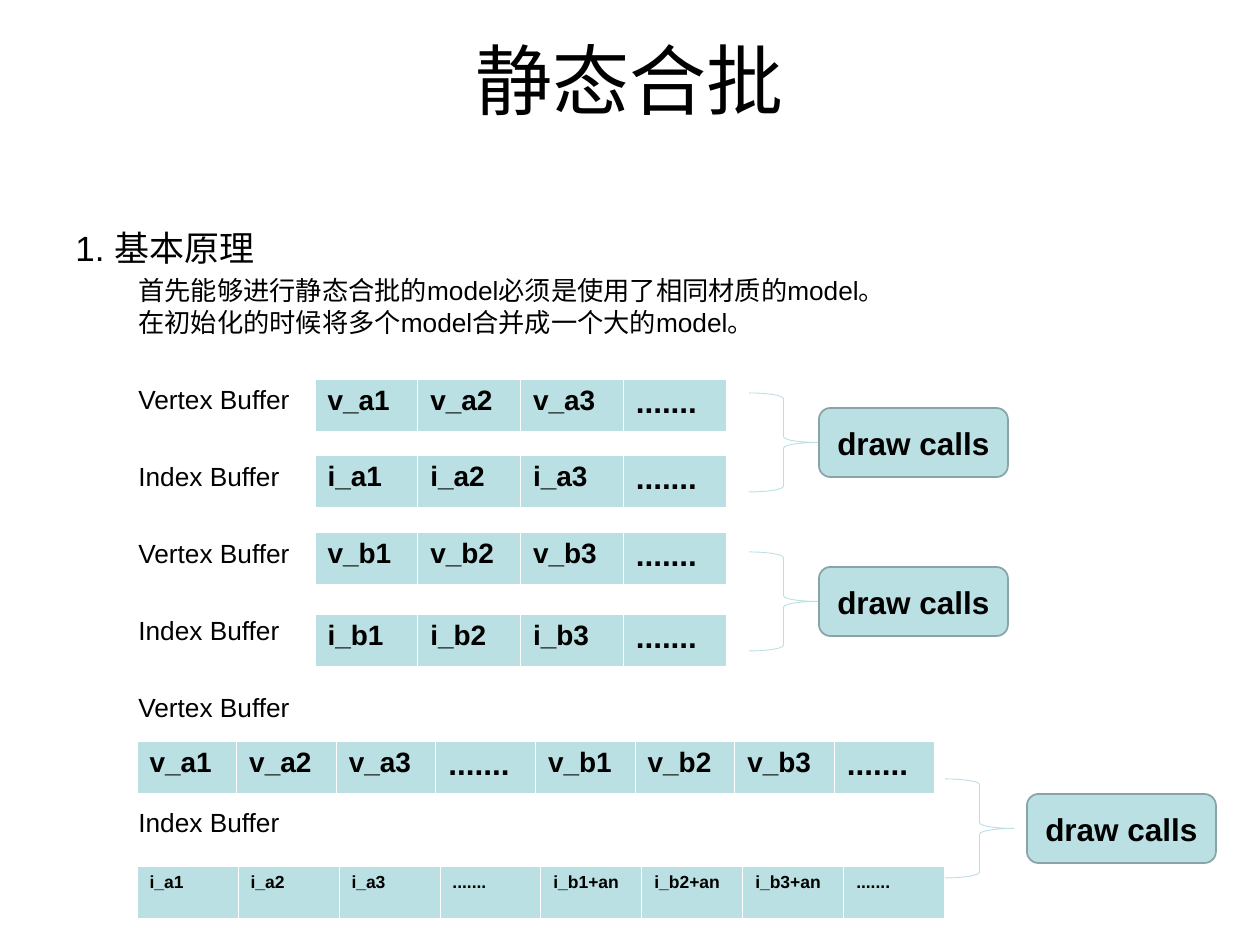
from lxml import etree
from pptx import Presentation
from pptx.dml.color import RGBColor
from pptx.enum.shapes import MSO_SHAPE
from pptx.enum.text import MSO_ANCHOR, PP_ALIGN
from pptx.oxml.ns import qn
from pptx.util import Emu, Pt

ROUNDED, BRACE = MSO_SHAPE.ROUNDED_RECTANGLE, MSO_SHAPE.RIGHT_BRACE
TOP, MIDDLE = MSO_ANCHOR.TOP, MSO_ANCHOR.MIDDLE
CENTER, LEFT = PP_ALIGN.CENTER, PP_ALIGN.LEFT
PX = 914400 // 126
FONT = "Arial"
COLORS = {"text": "000000", "fill": "BBE0E3", "edge": "89A4A7", "grid": "FFFFFF"}

# Content
TITLE = "静态合批"
DOTS = "......."
# lines, size, indent px, space before pt
BODY = [
    (["1. 基本原理"], 20, 0, 0),
    (["首先能够进行静态合批的model必须是使用了相同材质的model。",
      "在初始化的时候将多个model合并成一个大的model。"], 15, 63, 3.7),
    (["Vertex Buffer"], 15, 63, 26),
    (["Index Buffer"], 15, 63, 26),
    (["Vertex Buffer"], 15, 63, 26),
    (["Index Buffer"], 15, 63, 26),
    (["Vertex Buffer"], 15, 63, 26),
    (["Index Buffer"], 15, 63, 47.8),
]
V_A, I_A, V_B, I_B = ([f"{kind}{n}" for n in (1, 2, 3)] + [DOTS]
                      for kind in ("v_a", "i_a", "v_b", "i_b"))
I_B_OFFSET = [c if c == DOTS else c + "+an" for c in I_B]
# cells, x, y, width, text size, dots size
BUFFERS = [
    (V_A, 315, 379, 411, 16, 18),
    (I_A, 315, 455, 411, 16, 18),
    (V_B, 315, 532, 411, 16, 18),
    (I_B, 315, 614, 411, 16, 18),
    (V_A + V_B, 137, 741, 797, 16, 18),
    (I_A + I_B_OFFSET, 137, 866, 808, 10, 10),
]
ROW_H = 53
# brace x, brace y, box x
DRAW_CALLS = [(749, 393, 819), (749, 552, 819), (945, 779, 1027)]
BRACE_W, BRACE_H, BOX_W, BOX_H = 69, 99, 189, 69


def px(*values):
    return [Emu(round(v * PX)) for v in values]


def rgb(name):
    return RGBColor.from_string(COLORS[name])


def add_run(p, text, size, bold=False):
    r = p.add_run()
    r.text = text
    r.font.name, r.font.size, r.font.bold = FONT, Pt(size), bold
    r.font.color.rgb = rgb("text")


def add_borders(cell):
    tc_pr = cell._tc.get_or_add_tcPr()
    for i, (side, width) in enumerate(
            [("lnL", 0.45), ("lnR", 0.45), ("lnT", 0.45), ("lnB", 1.47)]):
        ln = etree.Element(qn(f"a:{side}"), w=str(Pt(width)))
        fill = etree.SubElement(ln, qn("a:solidFill"))
        etree.SubElement(fill, qn("a:srgbClr"), val=COLORS["grid"])
        tc_pr.insert(i, ln)


def add_buffer(s, cells, x, y, w, size, dots_size):
    table = s.shapes.add_table(1, len(cells), *px(x, y, w, ROW_H)).table
    for i, text in enumerate(cells):
        table.columns[i].width = px(w / len(cells))[0]
        cell = table.cell(0, i)
        cell.fill.solid()
        cell.fill.fore_color.rgb = rgb("fill")
        add_borders(cell)
        add_run(cell.text_frame.paragraphs[0], text,
                dots_size if text == DOTS else size, True)


def add_draw_call(s, x, y, box_x):
    brace = s.shapes.add_shape(BRACE, *px(x, y, BRACE_W, BRACE_H))
    brace.shadow.inherit = False
    brace.fill.background()
    brace.line.color.rgb, brace.line.width = rgb("fill"), Pt(0.5)

    box_y = y + (BRACE_H - BOX_H) / 2
    box = s.shapes.add_shape(ROUNDED, *px(box_x, box_y, BOX_W, BOX_H))
    box.shadow.inherit = False
    box.fill.solid()
    box.fill.fore_color.rgb = rgb("fill")
    box.line.color.rgb, box.line.width = rgb("edge"), Pt(1)
    tf = box.text_frame
    tf.vertical_anchor = MIDDLE
    p = tf.paragraphs[0]
    p.alignment = CENTER
    add_run(p, "draw calls", 18, True)


def main():
    prs = Presentation()
    prs.slide_width, prs.slide_height = px(1260, 945)
    s = prs.slides.add_slide(prs.slide_layouts[5])

    # Title
    title = s.shapes.title
    title.left, title.top, title.width, title.height = px(63, 26, 1134, 170)
    tf = title.text_frame
    tf.vertical_anchor = TOP
    p = tf.paragraphs[0]
    p.alignment = CENTER
    add_run(p, TITLE, 44)

    # Principle and buffer labels
    tf = s.shapes.add_textbox(*px(63, 220, 1134, 724)).text_frame
    tf.word_wrap = True
    for i, (lines, size, indent, before) in enumerate(BODY):
        p = tf.add_paragraph() if i else tf.paragraphs[0]
        p.alignment = LEFT
        p._p.get_or_add_pPr().set("marL", str(indent * PX))
        if before:
            p.space_before = Pt(before)
        for n, line in enumerate(lines):
            if n:
                p.add_line_break()
            add_run(p, line, size)

    # Buffer tables
    for buffer in BUFFERS:
        add_buffer(s, *buffer)

    # Braces and draw call boxes
    for call in DRAW_CALLS:
        add_draw_call(s, *call)

    prs.save("out.pptx")


if __name__ == "__main__":
    main()
